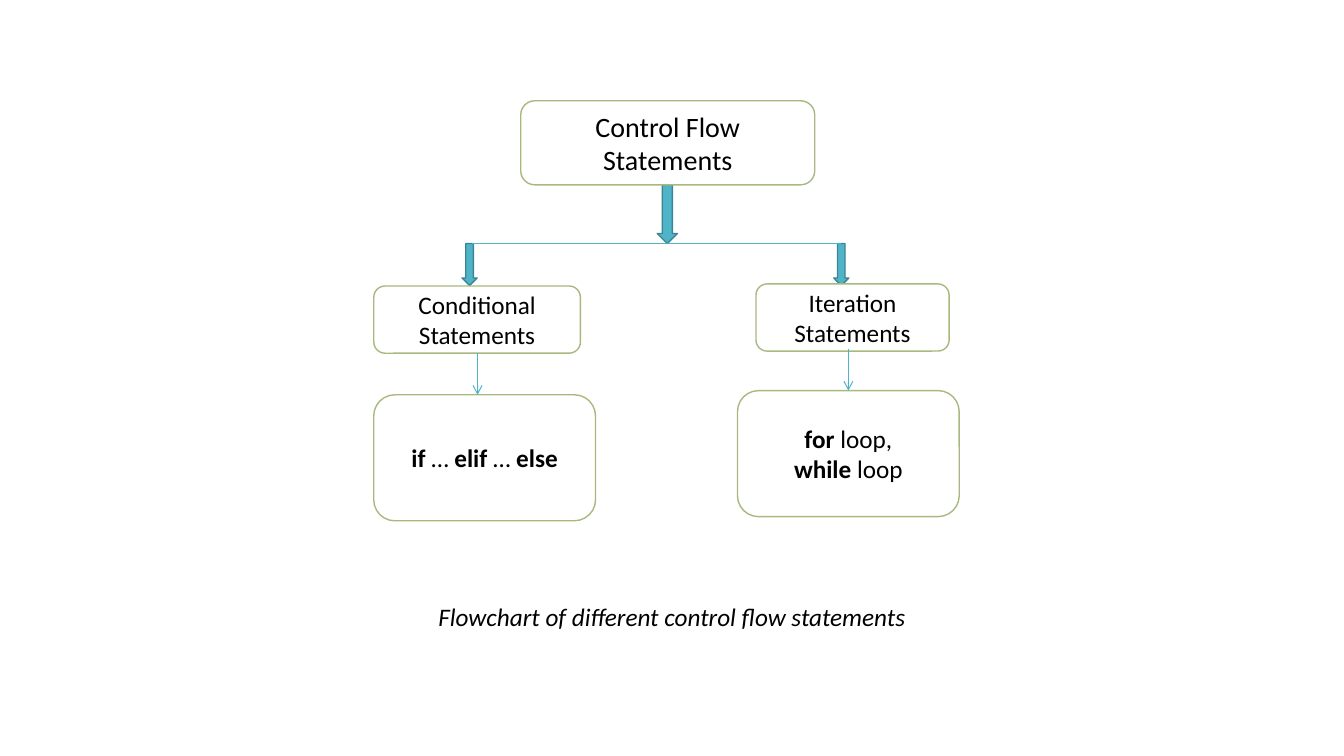
from dataclasses import dataclass

from lxml.etree import SubElement
from pptx import Presentation
from pptx.dml.color import RGBColor
from pptx.enum.shapes import MSO_CONNECTOR as Connector, MSO_SHAPE as Preset
from pptx.enum.text import MSO_ANCHOR as Anchor, MSO_AUTO_SIZE as AutoSize, PP_ALIGN as Align
from pptx.oxml.ns import qn
from pptx.slide import Slide
from pptx.text.text import TextFrame
from pptx.util import Emu, Inches, Pt

# Grid: 160 columns by 90 rows, so one cell is a twelfth of an inch
COLUMNS, ROWS = 160, 90
CELL = Inches(1) / 12


@dataclass(frozen=True)
class Theme:
    font: str = "Calibri"
    text: RGBColor = RGBColor(0x00, 0x00, 0x00)
    paper: RGBColor = RGBColor(0xFF, 0xFF, 0xFF)
    border: RGBColor = RGBColor(0xA8, 0xB9, 0x7F)
    arrow: RGBColor = RGBColor(0x50, 0xB4, 0xC8)
    arrow_edge: RGBColor = RGBColor(0x3B, 0x85, 0x94)
    root_size: float = 20
    body_size: float = 18
    outline: float = 1
    hairline: float = 0.75


@dataclass(frozen=True)
class Span:
    text: str
    bold: bool = False
    italic: bool = False


@dataclass(frozen=True)
class Area:
    column: float
    row: float
    width: float
    height: float


@dataclass(frozen=True)
class Node:
    area: Area
    paras: list[list[Span]]
    size: float


@dataclass(frozen=True)
class Link:
    start: tuple[float, float]
    end: tuple[float, float]
    arrowhead: bool = False


THEME = Theme()
RAIL_ROW = 29

BLOCK_ARROWS = [
    Area(78.25, 22, 2.4, 7),
    Area(55, RAIL_ROW, 1.8, 5),
    Area(99.25, RAIL_ROW, 1.8, 5),
]
NODES = [
    Node(Area(62, 12, 35, 10), [[Span("Control Flow Statements")]], THEME.root_size),
    Node(Area(44.5, 34.05, 24.6, 8), [[Span("Conditional Statements")]], THEME.body_size),
    Node(Area(90, 33.8, 23, 8), [[Span("Iteration Statements")]], THEME.body_size),
    Node(
        Area(44.5, 47, 26.4, 15),
        [[Span("if ", bold=True), Span("… "), Span("elif", bold=True),
          Span(" … "), Span("else", bold=True)]],
        THEME.body_size,
    ),
    Node(
        Area(87.8, 46.5, 26.4, 15),
        [[Span("for ", bold=True), Span("loop,")],
         [Span("while ", bold=True), Span("loop")]],
        THEME.body_size,
    ),
]
RAIL = Link((56.25, RAIL_ROW), (100.1, RAIL_ROW))
THIN_ARROWS = [
    Link((56.85, 42), (56.85, 47), arrowhead=True),
    Link((101, 41.5), (101, 46.5), arrowhead=True),
]
CAPTION = Node(
    Area(51, 71, 62, 4.8),
    [[Span("Flowchart of different control flow statements", italic=True)]],
    THEME.body_size,
)


def cells(*counts: float) -> list[Emu]:
    return [Emu(round(count * CELL)) for count in counts]


def place(area: Area) -> list[Emu]:
    return cells(area.column, area.row, area.width, area.height)


def write(frame: TextFrame, node: Node, align: Align) -> None:
    frame.word_wrap = True
    for index, spans in enumerate(node.paras):
        para = frame.add_paragraph() if index else frame.paragraphs[0]
        para.alignment = align
        for span in spans:
            run = para.add_run()
            run.text = span.text
            font = run.font
            font.name, font.size = THEME.font, Pt(node.size)
            font.bold, font.italic = span.bold, span.italic
            font.color.rgb = THEME.text


def draw_shape(page: Slide, preset: Preset, area: Area, fill: RGBColor, edge: RGBColor) -> TextFrame:
    shape = page.shapes.add_shape(preset, *place(area))
    shape.shadow.inherit = False
    shape.fill.solid()
    shape.fill.fore_color.rgb = fill
    shape.line.color.rgb = edge
    shape.line.width = Pt(THEME.outline)
    return shape.text_frame


def draw_node(page: Slide, node: Node) -> None:
    frame = draw_shape(page, Preset.ROUNDED_RECTANGLE, node.area, THEME.paper, THEME.border)
    frame.vertical_anchor = Anchor.MIDDLE
    write(frame, node, Align.CENTER)


def draw_link(page: Slide, link: Link) -> None:
    line = page.shapes.add_connector(Connector.STRAIGHT, *cells(*link.start, *link.end))
    line.line.color.rgb = THEME.arrow
    line.line.width = Pt(THEME.hairline)
    if link.arrowhead:
        SubElement(line.line._get_or_add_ln(), qn("a:tailEnd"), type="arrow")
    SubElement(line._element.spPr, qn("a:effectLst"))


def draw_caption(page: Slide, caption: Node) -> None:
    frame = page.shapes.add_textbox(*place(caption.area)).text_frame
    write(frame, caption, Align.LEFT)
    frame.auto_size = AutoSize.SHAPE_TO_FIT_TEXT


def main() -> None:
    deck = Presentation()
    deck.slide_width, deck.slide_height = cells(COLUMNS, ROWS)
    blank = deck.slide_layouts.get_by_name("Blank")
    page = deck.slides.add_slide(blank)

    # Arrows and rail go behind the boxes
    for area in BLOCK_ARROWS:
        draw_shape(page, Preset.DOWN_ARROW, area, THEME.arrow, THEME.arrow_edge)
    draw_link(page, RAIL)

    # Boxes, then the thin arrows between them
    for node in NODES:
        draw_node(page, node)
    for link in THIN_ARROWS:
        draw_link(page, link)

    # Caption under the flowchart
    draw_caption(page, CAPTION)
    deck.save("out.pptx")


if __name__ == "__main__":
    main()
